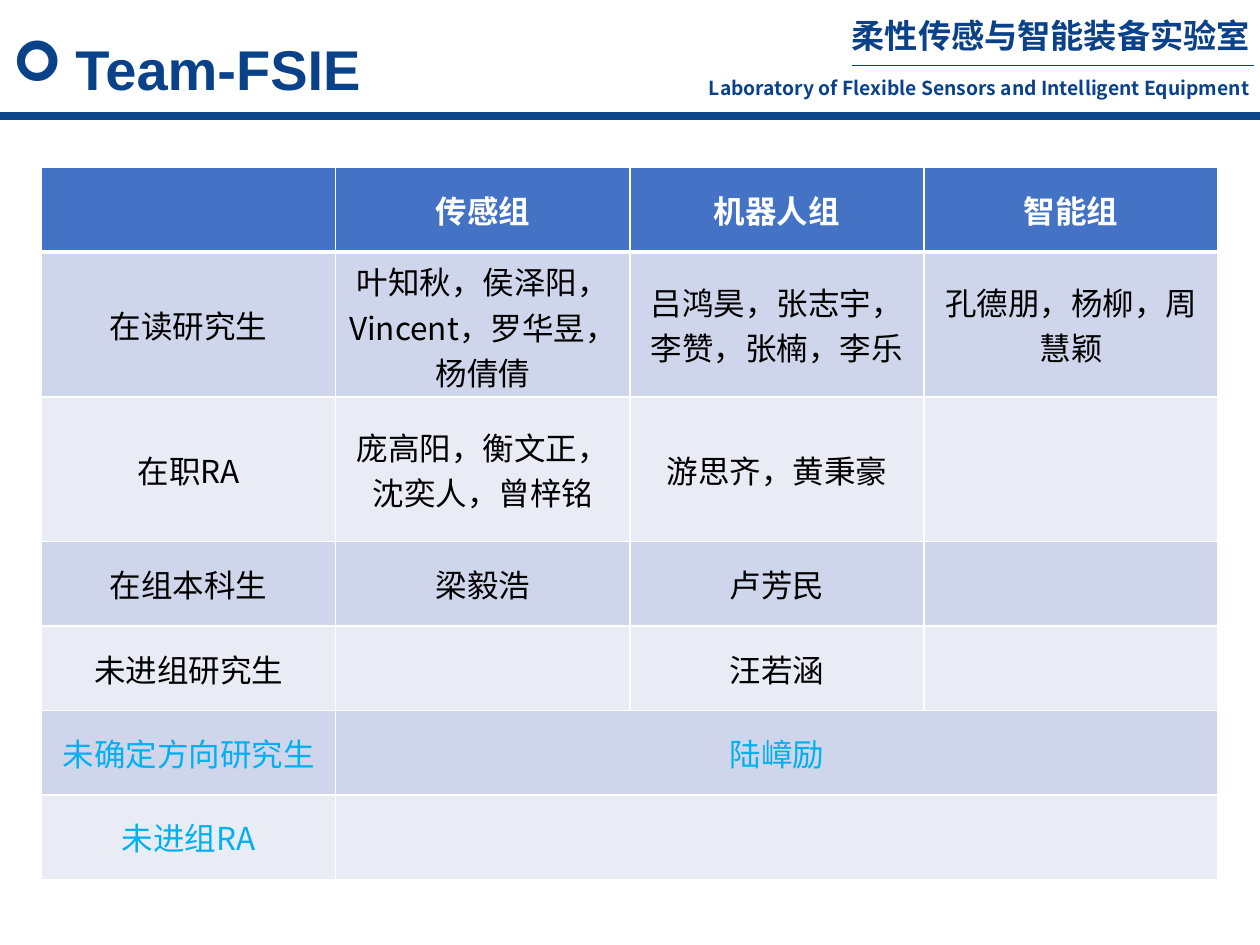
from lxml.etree import SubElement
from pptx import Presentation
from pptx.dml.color import RGBColor
from pptx.enum.shapes import MSO_CONNECTOR
from pptx.enum.text import MSO_ANCHOR as Anchor, MSO_AUTO_SIZE as AutoSize, PP_ALIGN as Align
from pptx.oxml.ns import qn
from pptx.util import Inches, Pt

CJK = "Noto Sans CJK SC"
NAVY, WHITE, BLACK, SKY = "0A4188", "FFFFFF", "000000", "00B0F0"
HEADER_FILL, BANDS = "4472C4", ("CFD5EA", "E9EBF5")
ROW_HEIGHTS = [0.67, 1.15, 1.15, 0.67, 0.67, 0.67, 0.67]
COLUMN_WIDTH = 2.335
MEMBERS = [
    ["", "传感组", "机器人组", "智能组"],
    ["在读研究生", "叶知秋，侯泽阳，Vincent，罗华昱，杨倩倩",
     "吕鸿昊，张志宇，李赞，张楠，李乐", "孔德朋，杨柳，周慧颖"],
    ["在职RA", "庞高阳，衡文正，沈奕人，曾梓铭", "游思齐，黄秉豪", ""],
    ["在组本科生", "梁毅浩", "卢芳民", ""],
    ["未进组研究生", "", "汪若涵", ""],
    ["未确定方向研究生", "陆嶂励", "", ""],
    ["未进组RA", "", "", ""],
]
FIRST_MERGED_ROW = 5


def rgb(value):
    return RGBColor.from_string(value)


def write(frame, text, size=18, color=BLACK, bold=False, font=CJK,
          align=Align.CENTER, spacing=None, bullet=None):
    paragraph = frame.paragraphs[0]
    paragraph.alignment = align
    if spacing:
        paragraph.line_spacing = spacing
    if bullet:
        properties = paragraph._p.get_or_add_pPr()
        properties.set("marL", str(Inches(0.5)))
        properties.set("indent", str(-Inches(0.5)))
        SubElement(properties, qn("a:buFont"), typeface="Wingdings")
        SubElement(properties, qn("a:buChar"), char=bullet)
    run = paragraph.add_run()
    run.text = text
    run.font.size, run.font.bold, run.font.name = Pt(size), bold, font
    run.font.color.rgb = rgb(color)
    SubElement(run._r.get_or_add_rPr(), qn("a:ea"), typeface=font)


def add_label(slide, box, text, insets=(0.1, 0.05, 0.1, 0.05),
              anchor=Anchor.TOP, grow=False, **text_format):
    frame = slide.shapes.add_textbox(*map(Inches, box)).text_frame
    frame.word_wrap = True
    frame.auto_size = AutoSize.SHAPE_TO_FIT_TEXT if grow else AutoSize.NONE
    frame.vertical_anchor = anchor
    (frame.margin_left, frame.margin_top,
     frame.margin_right, frame.margin_bottom) = map(Inches, insets)
    write(frame, text, **text_format)


def add_rule(slide, left, right, y, color, width):
    rule = slide.shapes.add_connector(
        MSO_CONNECTOR.STRAIGHT, Inches(left), Inches(y), Inches(right), Inches(y))
    rule.line.color.rgb = rgb(color)
    rule.line.width = Pt(width)
    SubElement(rule._element.spPr, qn("a:effectLst"))


def style_cell(cell, fill, top_width, bottom_width):
    properties = cell._tc.get_or_add_tcPr()
    for side, width in (("L", 1), ("R", 1), ("T", top_width), ("B", bottom_width)):
        border = SubElement(properties, qn(f"a:ln{side}"), w=str(Pt(width)))
        SubElement(SubElement(border, qn("a:solidFill")), qn("a:srgbClr"), val=WHITE)
    cell.fill.solid()
    cell.fill.fore_color.rgb = rgb(fill)
    cell.vertical_anchor = Anchor.MIDDLE


def add_member_table(slide):
    columns = len(MEMBERS[0])
    table = slide.shapes.add_table(
        len(MEMBERS), columns, Inches(0.33), Inches(1.33),
        Inches(COLUMN_WIDTH * columns), Inches(sum(ROW_HEIGHTS))).table
    for column in table.columns:
        column.width = Inches(COLUMN_WIDTH)
    for r, (names, height) in enumerate(zip(MEMBERS, ROW_HEIGHTS)):
        table.rows[r].height = Inches(height)
        header = r == 0
        fill = HEADER_FILL if header else BANDS[(r - 1) % 2]
        color = WHITE if header else SKY if r >= FIRST_MERGED_ROW else BLACK
        for c, text in enumerate(names):
            cell = table.cell(r, c)
            style_cell(cell, fill, 3 if r == 1 else 1, 3 if header else 1)
            if text:
                write(cell.text_frame, text, color=color, bold=header)
        if r >= FIRST_MERGED_ROW:
            table.cell(r, 1).merge(table.cell(r, columns - 1))


def main():
    deck = Presentation()
    deck.slide_width, deck.slide_height = Inches(10), Inches(7.5)
    slide = deck.slides.add_slide(deck.slide_layouts[6])
    add_rule(slide, 0, 10, 0.92, "0F458A", 5)
    add_rule(slide, 6.76, 9.95, 0.52, NAVY, 1)
    add_label(slide, (6.69, 0.1, 3.31, 0.34), "柔性传感与智能装备实验室",
              insets=(0, 0.02, 0.08, 0), grow=True,
              size=19, color=NAVY, bold=True, align=Align.RIGHT)
    add_label(slide, (5.35, 0.58, 4.65, 0.2),
              "Laboratory of Flexible Sensors and Intelligent Equipment",
              insets=(0, 0, 0.08, 0), grow=True, size=11, color=NAVY,
              bold=True, align=Align.RIGHT, spacing=1.14)
    add_label(slide, (0, 0.13, 5.1, 0.71), "Team-FSIE", anchor=Anchor.MIDDLE,
              size=32, color="0A428A", bold=True, font="Arial",
              align=Align.LEFT, spacing=1.2, bullet="➢")
    add_member_table(slide)
    deck.save("out.pptx")


if __name__ == "__main__":
    main()
